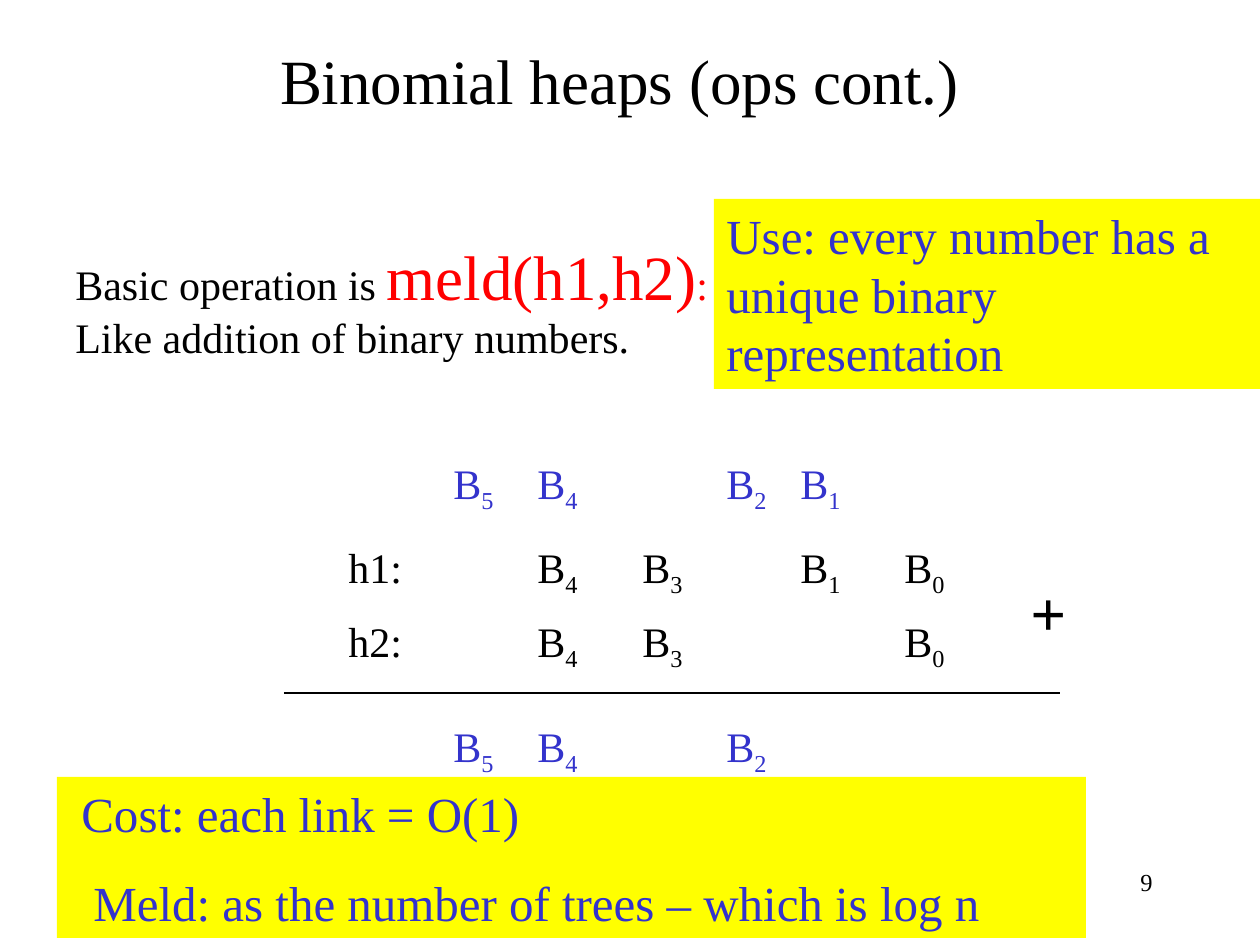
import pptx
import pptx.dml.color
import pptx.enum.shapes
import pptx.enum.text
import pptx.oxml
import pptx.oxml.ns
import pptx.util

PX = 914400 / 126  # EMU in one px
FONT = "Times New Roman"
COLORS = {"text": "000000", "call": "FF0000", "result": "3333CC", "note": "FFFF00"}
ALIGN = pptx.enum.text.PP_ALIGN
ANCHOR = pptx.enum.text.MSO_ANCHOR

# Each box: place in px, paragraphs of (text, points, color) runs, options
TEXTS = [
    ((903, 861, 262, 63), [[("9", 14, "text")]], {"align": ALIGN.RIGHT}),
    ((84, 0, 1071, 158), [[("Binomial heaps (ops cont.)", 36, "text")]],
     {"align": ALIGN.CENTER, "anchor": ANCHOR.MIDDLE}),
    ((63, 231, 1018, 88),
     [[("Basic operation is ", 24, "text"), ("meld(h1,h2)", 36, "call"), (":", 24, "call")]], {}),
    ((63, 305, 1018, 63), [[("Like addition of binary numbers.", 24, "text")]], {}),
    ((1018, 567, 116, 88), [[("+", 36, "text")]], {"bold": True}),
]
NOTES = [
    ((714, 199, 546, 190),
     [[("Use: every number has a unique binary representation", 28, "result")]], {}),
    ((57, 777, 1029, 161),
     [[("Cost: each link = O(1)", 28, "result")],
      [("Meld: as the number of trees – which is log n", 28, "result")]],
     {"indents": (12, 24)}),
]

# The addition: column lefts by tree order; rows of top, label, color, tree orders
TREE_LEFT = {5: 441, 4: 525, 3: 630, 2: 714, 1: 788, 0: 892}
ADDITION = [
    (451, "", "result", (5, 4, 2, 1)),
    (535, "h1:", "text", (4, 3, 1, 0)),
    (609, "h2:", "text", (4, 3, 0)),
    (714, "", "result", (5, 4, 2)),
]
LABEL_LEFT, LABEL_SIZE, TREE_SIZE = 336, (126, 63), (73, 71)
SUM_LINE = (284, 693, 1060, 693)


def px(*lengths):
    return [round(length * PX) for length in lengths]


def rgb(name):
    return pptx.dml.color.RGBColor.from_string(COLORS[name])


def set_all(target, values):
    for name, value in values.items():
        setattr(target, name, value)


def write(shape, paragraphs, align=ALIGN.LEFT, anchor=ANCHOR.TOP, bold=False, indents=()):
    """Fill a shape with paragraphs; a run with a fourth item is a subscript."""
    side, edge = px(12.6, 6.3)
    frame = shape.text_frame
    set_all(frame, {"word_wrap": True, "vertical_anchor": anchor, "margin_left": side,
                    "margin_right": side, "margin_top": edge, "margin_bottom": edge})
    for i, runs in enumerate(paragraphs):
        paragraph = frame.add_paragraph() if i else frame.paragraphs[0]
        paragraph.alignment = align
        if i:
            paragraph.space_before = pptx.util.Pt(17.5)
        if indents:
            paragraph._p.get_or_add_pPr().set("marL", str(px(indents[i])[0]))
        for text, points, color, *subscript in runs:
            run = paragraph.add_run()
            run.text = text
            set_all(run.font, {"name": FONT, "size": pptx.util.Pt(points), "bold": bold})
            run.font.color.rgb = rgb(color)
            if subscript:
                run._r.get_or_add_rPr().set("baseline", "-25000")


def add_text(slide, place, paragraphs, **options):
    write(slide.shapes.add_textbox(*px(*place)), paragraphs, **options)


def add_note(slide, place, paragraphs, **options):
    note = slide.shapes.add_shape(pptx.enum.shapes.MSO_SHAPE.RECTANGLE, *px(*place))
    note.shadow.inherit = False
    note.fill.solid()
    note.fill.fore_color.rgb = rgb("note")
    note.line.fill.background()
    write(note, paragraphs, **options)


def add_sum_line(slide):
    line = slide.shapes.add_connector(pptx.enum.shapes.MSO_CONNECTOR.STRAIGHT, *px(*SUM_LINE))
    line.line.color.rgb = rgb("text")
    line.line.width = pptx.util.Pt(0.75)
    line._element.spPr.append(pptx.oxml.parse_xml(
        "<a:effectLst %s/>" % pptx.oxml.ns.nsdecls("a")))


def add_addition(slide):
    for top, label, color, orders in ADDITION:
        if label:
            add_text(slide, (LABEL_LEFT, top, *LABEL_SIZE), [[(label, 24, color)]])
        for order in orders:
            add_text(slide, (TREE_LEFT[order], top, *TREE_SIZE),
                     [[("B", 24, color), (str(order), 24, color, True)]])
    add_sum_line(slide)


def main():
    deck = pptx.Presentation()
    set_all(deck, {"slide_width": pptx.util.Inches(10), "slide_height": pptx.util.Inches(7.5)})
    slide = deck.slides.add_slide(deck.slide_layouts[6])
    for place, paragraphs, options in TEXTS:
        add_text(slide, place, paragraphs, **options)
    add_addition(slide)
    for place, paragraphs, options in NOTES:
        add_note(slide, place, paragraphs, **options)
    deck.save("out.pptx")


if __name__ == "__main__":
    main()
